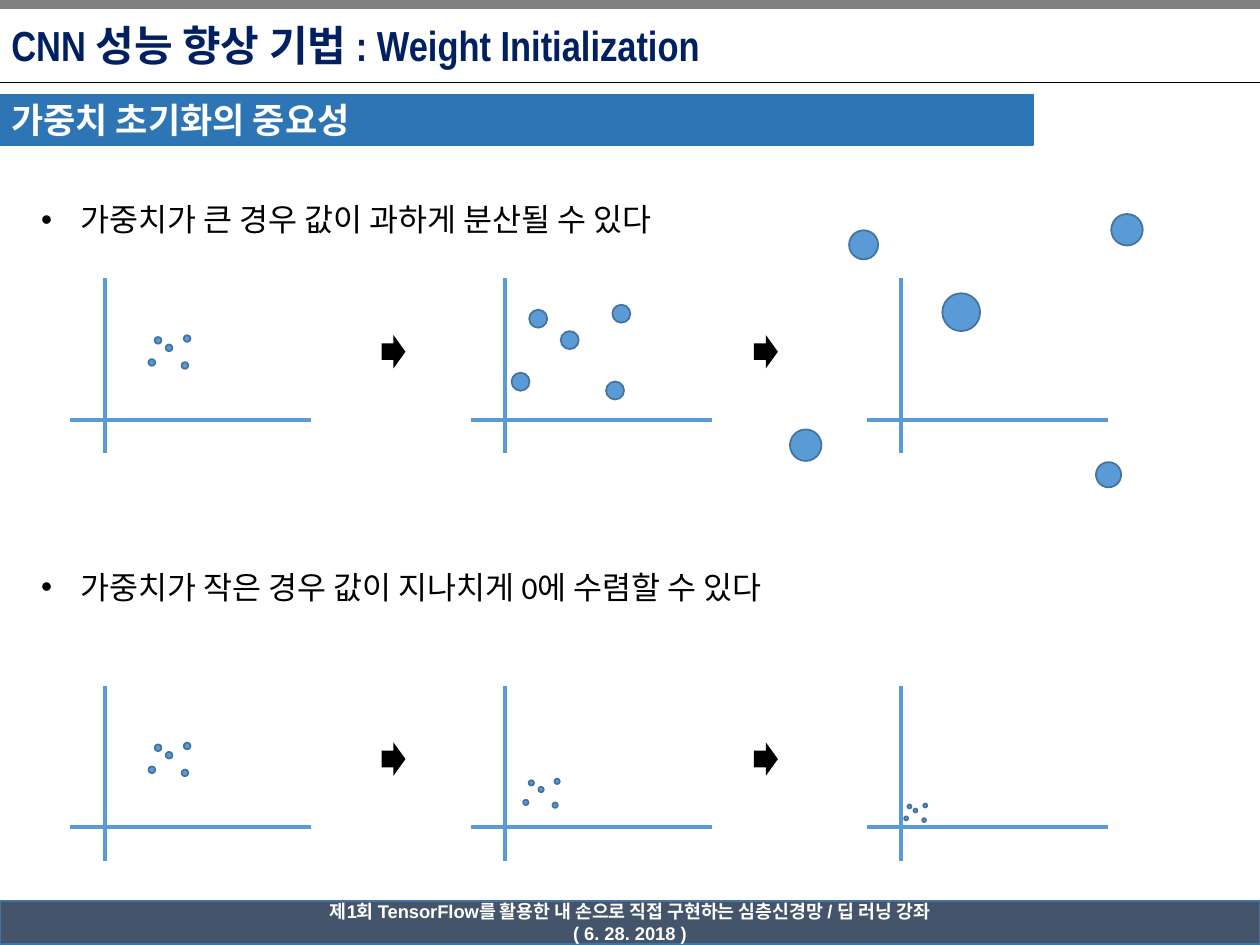
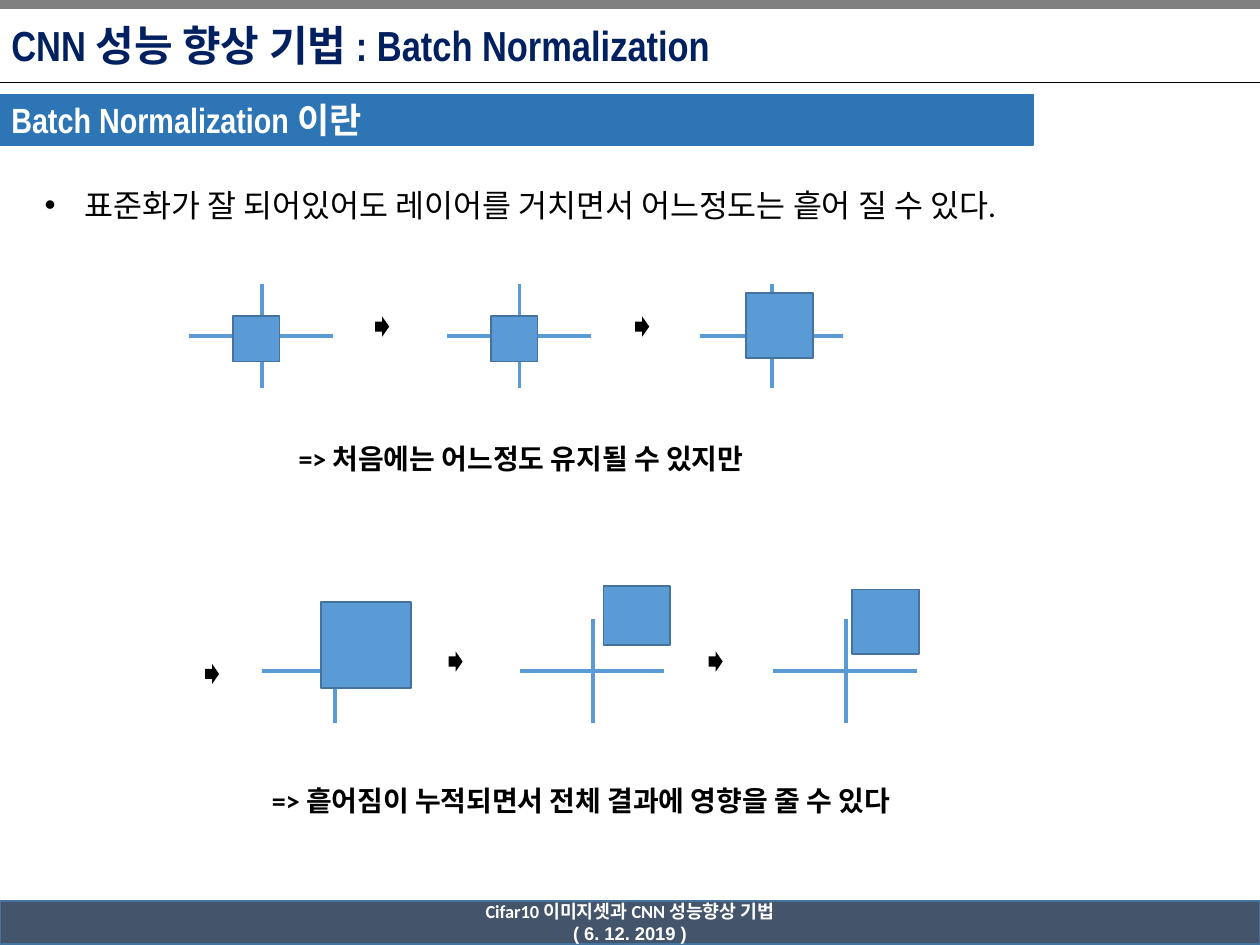
from lxml import etree
from pptx import Presentation
from pptx.dml.color import RGBColor
from pptx.enum.shapes import MSO_CONNECTOR, MSO_SHAPE
from pptx.enum.text import MSO_ANCHOR, MSO_AUTO_SIZE, PP_ALIGN
from pptx.oxml.ns import qn
from pptx.util import Pt

RECT, OVAL, ARROW = MSO_SHAPE.RECTANGLE, MSO_SHAPE.OVAL, MSO_SHAPE.RIGHT_ARROW
STRAIGHT = MSO_CONNECTOR.STRAIGHT
LEFT, CENTER = PP_ALIGN.LEFT, PP_ALIGN.CENTER
TOP, MIDDLE = MSO_ANCHOR.TOP, MSO_ANCHOR.MIDDLE
FIXED = MSO_AUTO_SIZE.NONE
WIDE, HIGH = 720, 540
INK = {
    "title": "002060", "band": "2E75B6", "foot": "44546A", "gray": "808080",
    "blue": "5B9BD5", "edge": "43739E", "black": "000000", "white": "FFFFFF",
}
HEAD = {"font": "Arial Narrow", "bold": True, "anchor": MIDDLE, "inset": (6.5, 3)}
CLOUD = [(28.1, 15.1), (57.6, 0), (54, 43.9), (0, 38.9), (10.1, 2.9)]
SPREAD = [(43.2, 8.6, 21.6), (139.7, -36.7, 18), (131, 105.1, 14.4),
          (-43.9, 86.4, 18), (-10.1, -27.4, 16.6)]


def color(name):
    """Return the named colour."""
    return RGBColor.from_string(INK[name])


def write(shape, *lines, size=18, font="Calibri", ink="black", bold=False,
          align=LEFT, anchor=TOP, inset=(7.2, 3.6), bullet=False):
    """Put lines of text into a shape in one format."""
    frame = shape.text_frame
    frame.word_wrap, frame.auto_size = True, FIXED
    frame.vertical_anchor = anchor
    frame.margin_left = frame.margin_right = Pt(inset[0])
    frame.margin_top = frame.margin_bottom = Pt(inset[1])
    for i, line in enumerate(lines):
        para = frame.add_paragraph() if i else frame.paragraphs[0]
        para.alignment = align
        if bullet:
            props = para._p.get_or_add_pPr()
            props.set("marL", str(Pt(22.5)))
            props.set("indent", str(-Pt(22.5)))
            etree.SubElement(props, qn("a:buFont"), typeface="Arial")
            etree.SubElement(props, qn("a:buChar"), char="•")
        run = para.add_run()
        run.text = line
        run.font.size, run.font.name, run.font.bold = Pt(size), font, bold
        run.font.color.rgb = color(ink)


def label(slide, box, line, **style):
    """Add a text box."""
    write(slide.shapes.add_textbox(*map(Pt, box)), line, **style)


def draw(slide, kind, box, fill="blue", edge="edge"):
    """Add a filled preset shape."""
    shape = slide.shapes.add_shape(kind, *map(Pt, box))
    shape.shadow.inherit = False
    shape.fill.solid()
    shape.fill.fore_color.rgb = color(fill)
    if edge:
        shape.line.color.rgb = color(edge)
        shape.line.width = Pt(1)
    else:
        shape.line.fill.background()
    return shape


def rule(slide, start, end, ink="blue", width=2.25):
    """Add a straight line."""
    line = slide.shapes.add_connector(STRAIGHT, *map(Pt, (*start, *end)))
    line.line.color.rgb = color(ink)
    line.line.width = Pt(width)
    etree.SubElement(line._element.spPr, qn("a:effectLst"))


def axes(slide, box, cross):
    """Draw two axes in a box, crossing at an offset."""
    x, y, w, h = box
    rule(slide, (x + cross[0], y), (x + cross[0], y + h))
    rule(slide, (x, y + cross[1]), (x + w, y + cross[1]))


def arrow(slide, x, y, w, h):
    """Draw a black block arrow."""
    draw(slide, ARROW, (x, y, w, h), "black", None)


def cloud(x, y, scale, size):
    """Return the scaled dots of a point cloud."""
    return [(x + dx * scale, y + dy * scale, size) for dx, dy in CLOUD]


def frame(deck, title, band, foot, font):
    """Add a slide with its title, band and footer."""
    slide = deck.slides.add_slide(deck.slide_layouts[5])
    draw(slide, RECT, (0, 0, WIDE, 5), "gray", "gray")
    rule(slide, (0, 47), (WIDE, 47), "black", 0.5)
    head = slide.shapes.title
    head.left, head.top, head.width, head.height = map(Pt, (0, 2.5, 562, 46.5))
    write(head, title, size=24, ink="title", **HEAD)
    bar = draw(slide, RECT, (0, 54, 590.5, 29), "band", "band")
    write(bar, band, size=20, ink="white", **HEAD)
    base = draw(slide, RECT, (0, 515, WIDE, 24.5), "foot")
    write(base, *foot, size=10.5, font=font, ink="white", bold=True,
          align=CENTER, anchor=MIDDLE)
    base.text_frame.paragraphs[1].runs[0].font.name = "Arial"
    return slide


def scatter(slide, top, clouds):
    """Draw a row of dot plots with arrows between them."""
    for left, dots in zip((40.3, 269.3, 495.3), clouds):
        axes(slide, (left, top, 137.7, 100), (19.5, 80.9))
        for x, y, size in dots:
            draw(slide, OVAL, (left + x, top + y, size, size))
    for left in (218, 430.8):
        arrow(slide, left, top + 32.5, 13.7, 19)


def shift(slide, left, top, blocks):
    """Draw a row of block plots with arrows between them."""
    for step, (x, y, w, h) in zip((0, 147.4, 291.8), blocks):
        axes(slide, (left + step, top, 82.2, 59.8), (41.5, 30))
        draw(slide, RECT, (left + step + x, top + y, w, h))
    for step in (106.4, 255):
        arrow(slide, left + step, top + 18.7, 8, 11.5)


def weights(deck):
    """Build the slide on weight initialization."""
    slide = frame(
        deck, "CNN 성능 향상 기법 : Weight Initialization", "가중치 초기화의 중요성",
        ("제1회 TensorFlow를 활용한 내 손으로 직접 구현하는 심층신경망 / 딥 러닝 강좌",
         "( 6. 28. 2018 )"), "Arial")
    small = cloud(44.6, 32.6, 0.35, 3.8)
    rows = [
        (111, 159, "가중치가 큰 경우 값이 과하게 분산될 수 있다",
         (small, cloud(23, 15.1, 1, 10.3), SPREAD)),
        (321, 391.8, "가중치가 작은 경우 값이 지나치게 0에 수렴할 수 있다",
         (small, cloud(29.7, 53.2, 0.31, 3), cloud(21.4, 67.4, 0.19, 2.2))),
    ]
    for y, top, line, clouds in rows:
        label(slide, (16.5, y, 687, 29), line, bullet=True)
        scatter(slide, top, clouds)


def batches(deck):
    """Build the slide on batch normalization."""
    slide = frame(
        deck, "CNN 성능 향상 기법 : Batch Normalization", "Batch Normalization 이란",
        ("Cifar10 이미지셋과 CNN 성능향상 기법", "( 6. 12. 2019 )"), "Calibri")
    label(slide, (18.5, 102.8, 606, 29),
          "표준화가 잘 되어있어도 레이어를 거치면서 어느정도는 흩어 질 수 있다.",
          bullet=True)
    first = (25, 18.4, 26.8, 26)
    shift(slide, 108, 162.2, (first, first, (26.6, 5.4, 38.2, 37)))
    label(slide, (163.5, 249, 292, 26.5), "=> 처음에는 어느정도 유지될 수 있지만",
          size=16, bold=True)
    left, top = 150, 353.6
    arrow(slide, left - 32.8, top + 25.8, 8, 11.5)
    shift(slide, left, top, ((33.6, -9.6, 51.2, 49), (47.5, -18.8, 38.2, 34),
                             (45, -16.8, 38.2, 37)))
    label(slide, (148.3, 444, 414, 26.5),
          "=> 흩어짐이 누적되면서 전체 결과에 영향을 줄 수 있다", size=16, bold=True)


def main():
    """Build and save the deck."""
    deck = Presentation()
    deck.slide_width, deck.slide_height = Pt(WIDE), Pt(HIGH)
    weights(deck)
    batches(deck)
    deck.save("out.pptx")


if __name__ == "__main__":
    main()
